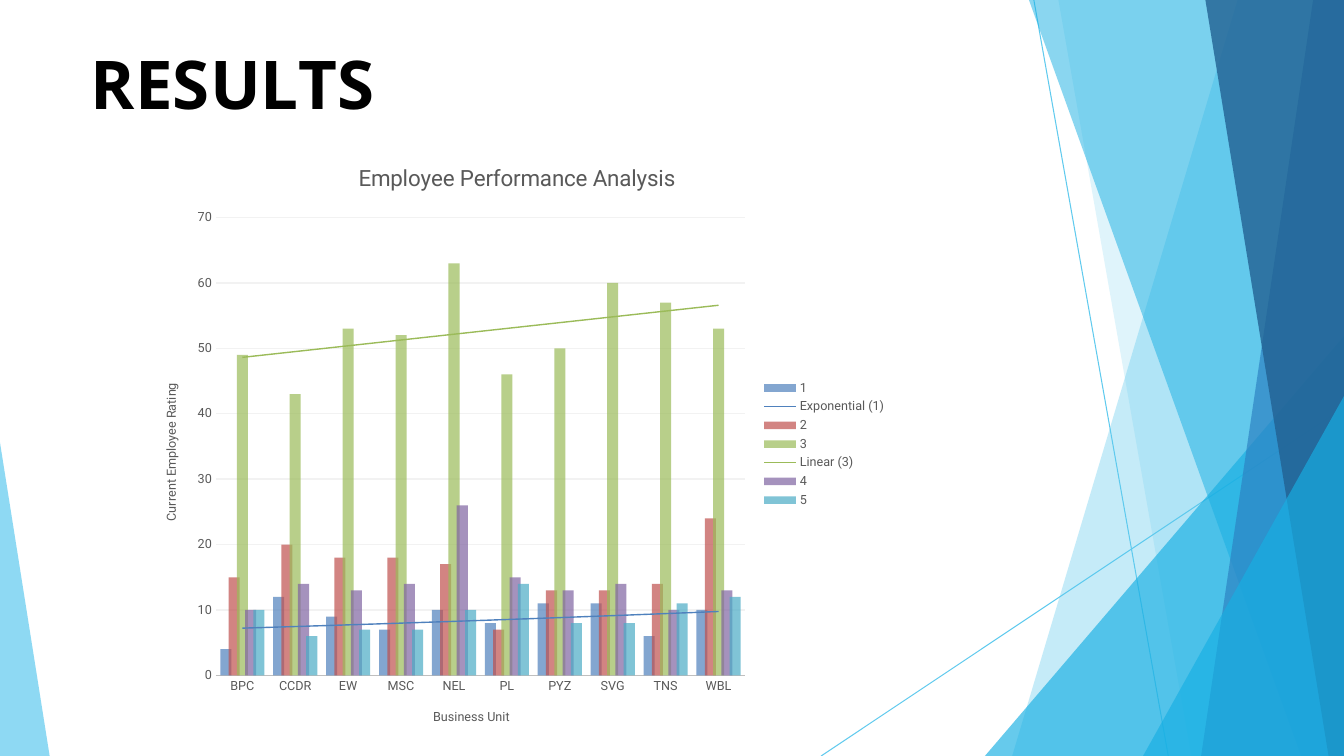
from lxml.etree import SubElement
from pptx import Presentation
from pptx.chart.data import CategoryChartData
from pptx.dml.color import RGBColor
from pptx.enum.chart import XL_CHART_TYPE, XL_LEGEND_POSITION, XL_TICK_MARK
from pptx.enum.shapes import MSO_CONNECTOR
from pptx.enum.text import MSO_ANCHOR
from pptx.oxml import parse_xml
from pptx.oxml.ns import nsdecls, qn
from pptx.util import Pt

WIDTH, HEIGHT = 960, 540
WHITE = RGBColor(0xFF, 0xFF, 0xFF)
BLACK = RGBColor(0, 0, 0)
SKY = RGBColor(0x5F, 0xCA, 0xEE)
CYAN = RGBColor(0x17, 0xAF, 0xE3)
BLUE = RGBColor(0x2D, 0x83, 0xC3)
NAVY = RGBColor(0x22, 0x61, 0x92)
LABEL_GRAY = RGBColor(0x59, 0x59, 0x59)
AXIS_GRAY = RGBColor(0xBF, 0xBF, 0xBF)
GRID_GRAY = RGBColor(0xF2, 0xF2, 0xF2)

UNITS = ["BPC", "CCDR", "EW", "MSC", "NEL", "PL", "PYZ", "SVG", "TNS", "WBL"]
# rating, counts per unit, colour, trend line type
RATINGS = [
    ("1", (4, 12, 9, 7, 10, 8, 11, 11, 6, 10), RGBColor(0x4F, 0x81, 0xBD), "exp"),
    ("2", (15, 20, 18, 18, 17, 7, 13, 13, 14, 24), RGBColor(0xC0, 0x50, 0x4D), None),
    ("3", (49, 43, 53, 52, 63, 46, 50, 60, 57, 53), RGBColor(0x9B, 0xBB, 0x59), "linear"),
    ("4", (10, 14, 13, 14, 26, 15, 13, 14, 10, 13), RGBColor(0x80, 0x64, 0xA2), None),
    ("5", (10, 6, 7, 7, 10, 14, 8, 8, 11, 12), RGBColor(0x4B, 0xAC, 0xC6), None),
]


def set_all(target, values):
    for name, value in values.items():
        setattr(target, name, value)


def fill_translucent(fill, color, opacity):
    """Fill with a colour at an opacity given in percent."""
    fill.solid()
    fill.fore_color.rgb = color
    color_node = fill._xPr.find(qn("a:solidFill"))[0]
    SubElement(color_node, qn("a:alpha")).set("val", str(opacity * 1000))


def add_facet(page, points, color, opacity):
    (left, top), *others = [(Pt(x), Pt(y)) for x, y in points]
    builder = page.shapes.build_freeform(left, top)
    builder.add_line_segments(others, close=True)
    facet = builder.convert_to_shape()
    facet.shadow.inherit = False
    facet.line.fill.background()
    fill_translucent(facet.fill, color, opacity)


def add_ray(page, start, end):
    ray = page.shapes.add_connector(
        MSO_CONNECTOR.STRAIGHT, *[Pt(value) for value in (*start, *end)])
    ray.line.color.rgb = SKY
    ray.line.width = Pt(0.75)
    SubElement(ray._element.spPr, qn("a:effectLst"))


def add_backdrop(page, left, top, width, height):
    """Layer the translucent facets along the right edge and the left corner."""
    right, bottom = left + width, top + height
    add_ray(page, (left + 738.5, top), (left + 834.5, bottom))
    add_ray(page, (right, top + 291), (left + 586.5, bottom))

    # top left x, bottom left x, or the height where a wedge starts on the edge
    facets = [
        ("band", 884, 723, SKY, 36),
        ("band", 756, 851, SKY, 20),
        ("wedge", 240, 703.5, CYAN, 66),
        ("band", 735, 929.5, CYAN, 50),
        ("band", 938, 858, BLUE, 70),
        ("band", 861, 949, NAVY, 80),
        ("wedge", 283, 816.5, CYAN, 66),
    ]
    for kind, start, foot, color, opacity in facets:
        if kind == "band":
            upper = [(right, top), (left + start, top)]
        else:
            upper = [(right, top + start)]
        points = upper + [(left + foot, bottom), (right, bottom)]
        add_facet(page, points, color, opacity)
    corner = [(left, top + 316), (left, bottom), (left + 35.5, bottom)]
    add_facet(page, corner, SKY, 70)


def add_title(page, left, top, width, height):
    frame = page.shapes.add_textbox(
        Pt(left), Pt(top), Pt(width), Pt(height)).text_frame
    set_all(frame, {"word_wrap": True, "vertical_anchor": MSO_ANCHOR.TOP,
                    "margin_left": Pt(5), "margin_top": 0,
                    "margin_right": 0, "margin_bottom": 0})
    para = frame.paragraphs[0]
    spacings = [("R", 0), ("E", -40), ("S", 10), ("U", -30), ("L", -400), ("TS", 0)]
    for letters, spacing in spacings:
        span = para.add_run()
        span.text = letters
        set_all(span.font, {"name": "Noto Sans", "size": Pt(48), "bold": True})
        span.font.color.rgb = BLACK
        span._r.get_or_add_rPr().set("spc", str(spacing))


def write_heading(owner, text, size):
    """Title a chart or an axis."""
    frame = (owner.chart_title if hasattr(owner, "chart_title")
             else owner.axis_title).text_frame
    frame.text = text
    font = frame.paragraphs[0].runs[0].font
    set_all(font, {"name": "Roboto", "size": Pt(size), "bold": False})
    font.color.rgb = LABEL_GRAY


def add_trend(series, kind, color):
    trend = parse_xml(
        f'<c:trendline {nsdecls("c", "a")}><c:spPr><a:ln w="12700"><a:solidFill>'
        f'<a:srgbClr val="{color}"/></a:solidFill></a:ln></c:spPr>'
        f'<c:trendlineType val="{kind}"/><c:dispRSqr val="0"/>'
        f'<c:dispEq val="0"/></c:trendline>')
    series._element.find(qn("c:cat")).addprevious(trend)


def place_plot(chart, x, y, w, h):
    """Set the inner plot area, as fractions of the chart."""
    plot_area = chart._chartSpace.chart.plotArea
    for old in plot_area.findall(qn("c:layout")):
        plot_area.remove(old)
    sizes = "".join(f'<c:{name} val="{value}"/>'
                    for name, value in zip("xywh", (x, y, w, h)))
    plot_area.insert(0, parse_xml(
        f'<c:layout {nsdecls("c")}><c:manualLayout><c:layoutTarget val="inner"/>'
        f'<c:xMode val="edge"/><c:yMode val="edge"/>{sizes}'
        f'</c:manualLayout></c:layout>'))


def add_rating_chart(page, left, top, width, height):
    data = CategoryChartData()
    data.categories = UNITS
    for rating, counts, _, _ in RATINGS:
        data.add_series(rating, counts)
    chart = page.shapes.add_chart(
        XL_CHART_TYPE.COLUMN_CLUSTERED, Pt(left), Pt(top), Pt(width), Pt(height),
        data).chart
    set_all(chart.font, {"name": "Roboto", "size": Pt(9)})
    chart.font.color.rgb = LABEL_GRAY

    write_heading(chart, "Employee Performance Analysis ", 16)
    chart.chart_title.include_in_layout = False
    chart.has_legend = True
    set_all(chart.legend, {"position": XL_LEGEND_POSITION.RIGHT,
                           "include_in_layout": False})

    plot = chart.plots[0]
    set_all(plot, {"gap_width": 80, "overlap": 25, "vary_by_categories": False})
    for series, (_, _, color, trend) in zip(plot.series, RATINGS):
        fill_translucent(series.format.fill, color, 70)
        if trend:
            add_trend(series, trend, color)

    units, counts = chart.category_axis, chart.value_axis
    for axis, text in ((units, "Business Unit"), (counts, "Current Employee Rating")):
        write_heading(axis, text, 9)
        set_all(axis, {"major_tick_mark": XL_TICK_MARK.NONE,
                       "minor_tick_mark": XL_TICK_MARK.NONE})
    set_all(counts, {"minimum_scale": 0, "maximum_scale": 70, "major_unit": 10})
    counts.format.line.fill.background()
    for line, color in ((units.format.line, AXIS_GRAY),
                        (counts.major_gridlines.format.line, GRID_GRAY)):
        line.color.rgb = color
        line.width = Pt(1)
    place_plot(chart, 0.097, 0.124, 0.702, 0.76)


def main():
    deck = Presentation()
    set_all(deck, {"slide_width": Pt(WIDTH), "slide_height": Pt(HEIGHT)})
    page = deck.slides.add_slide(deck.slide_layouts[6])
    page.background.fill.solid()
    page.background.fill.fore_color.rgb = WHITE
    add_backdrop(page, 0, 0, WIDTH, HEIGHT)
    add_title(page, 60, 30, 841, 58.5)
    add_rating_chart(page, 102, 102, 538.5, 430.5)
    deck.save("out.pptx")


if __name__ == "__main__":
    main()
